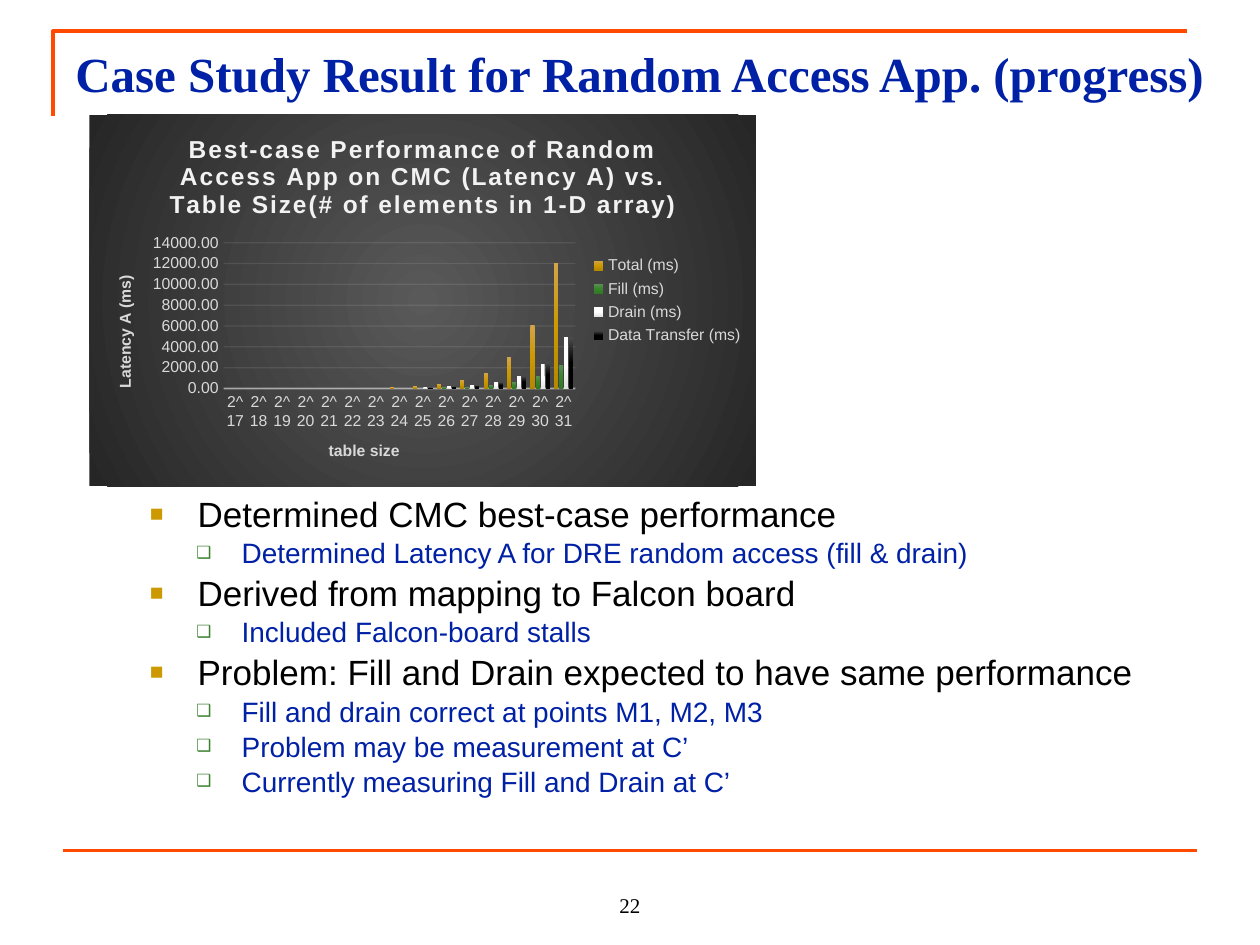
from lxml import etree
from pptx import Presentation
from pptx import util as u
from pptx.chart.data import CategoryChartData
from pptx.dml.color import RGBColor
from pptx.enum import chart as ch, shapes, text
from pptx.oxml import parse_xml
from pptx.oxml.ns import nsdecls, qn

ORANGE, NAVY, BLACK, PALE, GREY = "FF4A00", "0021A5", "000000", "F2F2F2", "D9D9D9"
TITLE = "Case Study Result for Random Access App. (progress)"
PAGE = "22"
CHART_TITLE = ("Best-case Performance of Random Access App on CMC (Latency A) "
               "vs. Table Size(# of elements in 1-D array)")
SIZES = [f"2^{power}" for power in range(17, 32)]
# name, values after the leading zeros, gradient colours
SERIES = [
    ("Total (ms)", [100, 200, 400, 800, 1500, 3000, 6100, 12100], ("D3A44B", "CC9900", "B58800")),
    ("Fill (ms)", [100, 100, 300, 600, 1200, 2300], ("5B9055", "38852B", "2F7A22")),
    ("Drain (ms)", [100, 200, 300, 600, 1200, 2400, 4900], ("FFFFFF", "FFFFFF", "E3E3E3")),
    ("Data Transfer (ms)", [100, 200, 300, 600, 1200, 2500, 4900], ("4B4B4B", "000000", "000000")),
]
POINTS = [
    (0, "Determined CMC best-case performance"),
    (1, "Determined Latency A for DRE random access (fill & drain)"),
    (0, "Derived from mapping to Falcon board"),
    (1, "Included Falcon-board stalls"),
    (0, "Problem: Fill and Drain expected to have same performance"),
    (1, "Fill and drain correct at points M1, M2, M3"),
    (1, "Problem may be measurement at C’"),
    (1, "Currently measuring Fill and Drain at C’"),
]
# size, colour, space before, left margin, indent, bullet, bullet colour, bullet percent
LEVELS = [
    (20, BLACK, 1.2, 0.38, -0.38, "■", "CC9900", 65),
    (16, NAVY, 0.8, 0.73, -0.36, "❑", "3B812F", 60),
]


def rgb(colour):
    return RGBColor.from_string(colour)


def box(*lengths):
    return [u.Inches(length) for length in lengths]


def style(font, size, colour, name="Arial", bold=False):
    font.size, font.name, font.bold = u.Pt(size), name, bold
    font.color.rgb = rgb(colour)


def outline(line, colour, width, opacity=100):
    line.color.rgb, line.width = rgb(colour), u.Pt(width)
    if opacity < 100:
        colour_node = next(line._ln.iter(qn("a:srgbClr")))
        etree.SubElement(colour_node, qn("a:alpha"), val=str(opacity * 1000))


def gradient(colours, direction):
    step = 100000 // (len(colours) - 1)
    stops = "".join(f'<a:gs pos="{i * step}"><a:srgbClr val="{c}"/></a:gs>'
                    for i, c in enumerate(colours))
    return f'<a:gradFill {nsdecls("a")}><a:gsLst>{stops}</a:gsLst>{direction}</a:gradFill>'


def add_text(slide, place, lines):
    frame = slide.shapes.add_textbox(*box(*place)).text_frame
    frame.word_wrap = True
    frame.text = "\n".join(lines)
    return frame


def add_bullet(paragraph, margin, indent, mark, colour, percent):
    props = paragraph._p.get_or_add_pPr()
    props.set("marL", str(u.Inches(margin)))
    props.set("indent", str(u.Inches(indent)))
    bullet_colour = etree.SubElement(props, qn("a:buClr"))
    etree.SubElement(bullet_colour, qn("a:srgbClr"), val=colour)
    etree.SubElement(props, qn("a:buSzPct"), val=str(percent * 1000))
    etree.SubElement(props, qn("a:buFont"), typeface="Arial")
    etree.SubElement(props, qn("a:buChar"), char=mark)


def add_frame(slide):
    corner = slide.shapes.build_freeform(*box(0.42, 0.92))
    corner.add_line_segments([box(0.42, 0.25), box(9.42, 0.25)], close=False)
    corner = corner.convert_to_shape()
    corner.shadow.inherit = False
    corner.fill.background()
    outline(corner.line, ORANGE, 2.25)
    rule = slide.shapes.add_connector(shapes.MSO_CONNECTOR.STRAIGHT, *box(0.5, 6.75, 9.5, 6.75))
    outline(rule.line, ORANGE, 2.25)
    etree.SubElement(rule._element.spPr, qn("a:effectLst"))


def set_title(owner, words, size, colour):
    frame = owner.text_frame
    frame.text = words
    run = frame.paragraphs[0].runs[0]
    style(run.font, size, colour, bold=True)
    return run


def add_latency_chart(slide):
    data = CategoryChartData(number_format="0.00")
    data.categories = SIZES
    for name, values, _ in SERIES:
        data.add_series(name, [0] * (len(SIZES) - len(values)) + values)
    chart = slide.shapes.add_chart(ch.XL_CHART_TYPE.COLUMN_CLUSTERED,
                                   *box(0.71, 0.91, 5.29, 2.95), data).chart
    style(chart.font, 10, BLACK)
    heading = set_title(chart.chart_title, CHART_TITLE, 14, PALE)
    heading.font._element.set("spc", "100")
    chart.chart_title.include_in_layout = False

    centre = '<a:path path="circle"><a:fillToRect l="50000" t="50000" r="50000" b="50000"/></a:path>'
    background = parse_xml(f'<c:spPr {nsdecls("c", "a")}>{gradient(("595959", "262626"), centre)}'
                           '<a:ln><a:noFill/></a:ln></c:spPr>')
    chart._chartSpace.find(qn("c:chart")).addnext(background)

    plot = chart.plots[0]
    plot.gap_width, plot.overlap, plot.vary_by_categories = 100, -24, False
    for series, (_, _, colours) in zip(plot.series, SERIES):
        series.format.fill.gradient()
        old = series._element.find(".//" + qn("a:gradFill"))
        old.getparent().replace(old, parse_xml(gradient(colours, '<a:lin ang="5400000" scaled="0"/>')))

    for axis, words in ((chart.category_axis, "table size"), (chart.value_axis, "Latency A (ms)")):
        set_title(axis.axis_title, words, 9, GREY)
        style(axis.tick_labels.font, 9, GREY)
        axis.major_tick_mark = axis.minor_tick_mark = ch.XL_TICK_MARK.NONE
    outline(chart.category_axis.format.line, PALE, 1, 54)
    latency = chart.value_axis
    latency.minimum_scale, latency.maximum_scale, latency.major_unit = 0, 14000, 2000
    latency.tick_labels.number_format = "0.00"
    latency.tick_labels.number_format_is_linked = False
    latency.format.line.fill.background()
    outline(latency.major_gridlines.format.line, PALE, 0.75, 10)

    chart.has_legend = True
    chart.legend.position = ch.XL_LEGEND_POSITION.RIGHT
    chart.legend.include_in_layout = False
    style(chart.legend.font, 9, GREY)


def add_points(slide):
    frame = add_text(slide, (1.09, 3.86, 8.19, 2.22), [words for _, words in POINTS])
    for paragraph, (level, _) in zip(frame.paragraphs, POINTS):
        size, colour, before, *bullet = LEVELS[level]
        paragraph.level = level
        paragraph.space_before = u.Pt(before)
        style(paragraph.runs[0].font, size, colour)
        add_bullet(paragraph, *bullet)


def main():
    deck = Presentation()
    deck.slide_width, deck.slide_height = box(10, 7.5)
    slide = deck.slides.add_slide(deck.slide_layouts[6])
    add_frame(slide)
    add_latency_chart(slide)
    add_points(slide)
    title = add_text(slide, (0.5, 0.3, 10.56, 1.03), [TITLE])
    style(title.paragraphs[0].runs[0].font, 28, NAVY, "Times New Roman", True)
    page = add_text(slide, (4, 6.83, 2, 0.5), [PAGE])
    page.vertical_anchor = text.MSO_ANCHOR.BOTTOM
    page.paragraphs[0].alignment = text.PP_ALIGN.CENTER
    style(page.paragraphs[0].runs[0].font, 12, BLACK, "Times New Roman")
    deck.save("out.pptx")


if __name__ == "__main__":
    main()
